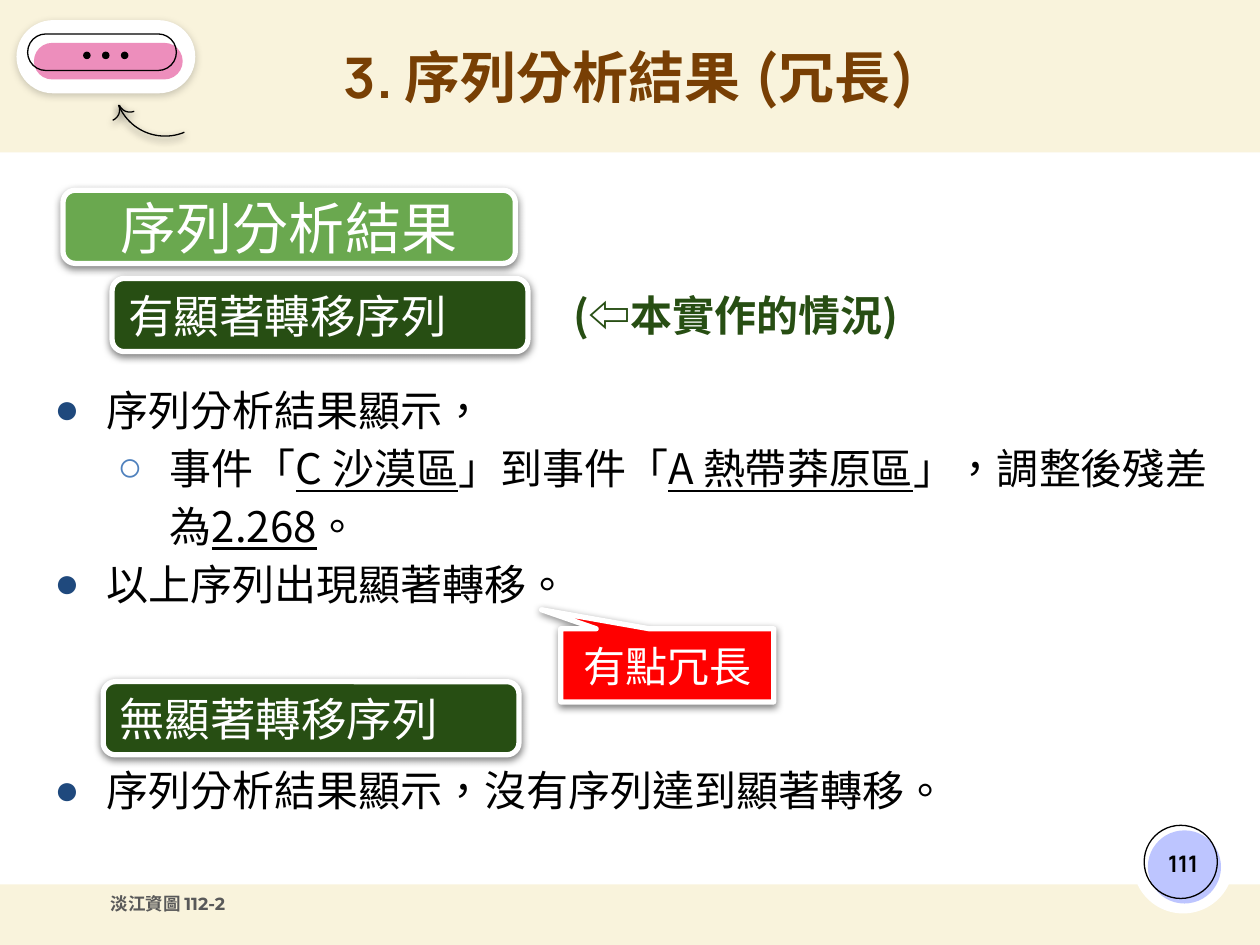
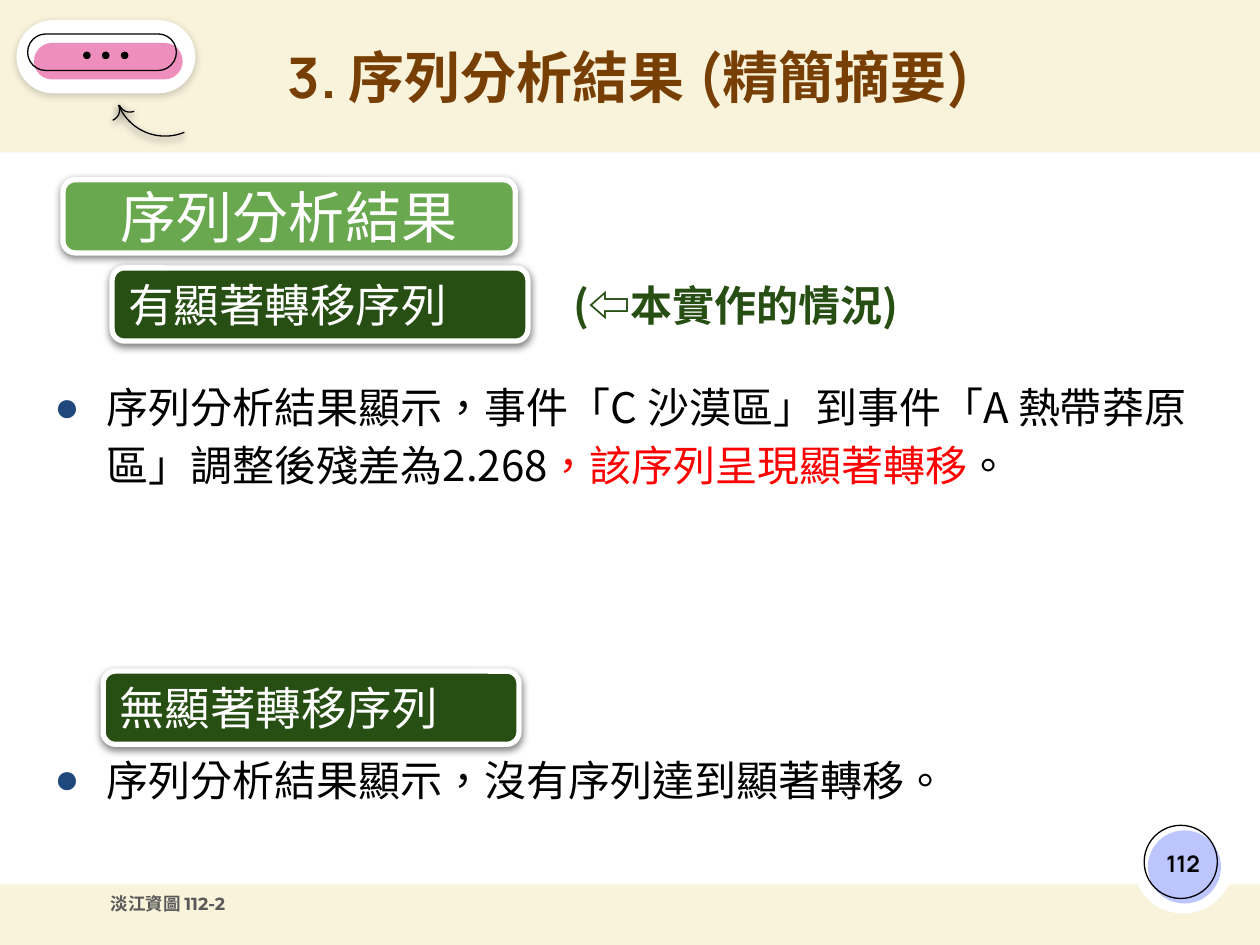
"""Build two slides on the results of a sequential analysis."""

from dataclasses import dataclass
from typing import Optional

from lxml.etree import SubElement
from pptx import Presentation
from pptx.dml.color import RGBColor
from pptx.enum.shapes import MSO_SHAPE as Kind
from pptx.enum.text import MSO_ANCHOR as Anchor, PP_ALIGN as Align
from pptx.oxml.ns import qn
from pptx.util import Pt

CREAM = RGBColor(0xF9, 0xF3, 0xDC)
WHITE = RGBColor(0xFF, 0xFF, 0xFF)
BLACK = RGBColor(0x00, 0x00, 0x00)
GREY = RGBColor(0x59, 0x59, 0x59)
BROWN = RGBColor(0x78, 0x3F, 0x04)
LILAC = RGBColor(0xBD, 0xC5, 0xFF)
PINK = RGBColor(0xED, 0x8E, 0xBC)
GREEN = RGBColor(0x6A, 0xA8, 0x4F)
DARK_GREEN = RGBColor(0x27, 0x4E, 0x13)
RED = RGBColor(0xFF, 0x00, 0x00)
NAVY = RGBColor(0x1F, 0x49, 0x7D)
BLUE = RGBColor(0x4F, 0x81, 0xBD)

CJK = "Noto Sans CJK TC"
HEADING = "Manrope"
INSET = 7.2
LABEL_HEIGHT = 41.8
BULLETS = (("●", NAVY, 36), ("○", BLUE, 72))


@dataclass(frozen=True)
class Frame:
    """Place and size in points."""

    left: float
    top: float
    width: float
    height: float

    def lifted(self, lift: float) -> "Frame":
        """Return the frame moved up."""
        return Frame(self.left, self.top - lift, self.width, self.height)


@dataclass(frozen=True)
class Look:
    """Outline and surface of a preset shape."""

    kind: Kind
    fill: Optional[RGBColor] = None
    line: Optional[RGBColor] = None
    weight: float = 0.75
    shadow: int = 0
    adjust: tuple[float, ...] = ()
    turn: float = 0
    flip: bool = False


@dataclass(frozen=True)
class Span:
    """A stretch of text with one format."""

    text: str
    color: RGBColor = BLACK
    underline: bool = False


@dataclass(frozen=True)
class Item:
    """A bulleted paragraph."""

    spans: tuple[Span, ...]
    level: int = 0


@dataclass(frozen=True)
class Label:
    """A filled box with a caption."""

    text: str
    frame: Frame
    look: Look
    size: float
    font: str = CJK
    align: Align = Align.LEFT


@dataclass(frozen=True)
class Content:
    """What differs from slide to slide."""

    title: str
    number: str
    body_top: float
    items: tuple[Item, ...]
    lift: float = 0
    extras: tuple[Label, ...] = ()


def raised(kind: Kind, fill: RGBColor, *adjust: float) -> Look:
    """Return a white-edged look with a soft shadow."""
    return Look(kind, fill, WHITE, 3, 50, adjust)


def arc(flip: bool = False) -> Look:
    """Return the look of one quarter-circle stroke of the curved arrow."""
    return Look(Kind.ARC, line=BLACK, shadow=68, adjust=(162, 0), turn=157.5, flip=flip)


def pill(**surface) -> Look:
    """Return a look with fully rounded ends."""
    return Look(Kind.ROUNDED_RECTANGLE, adjust=(0.5,), **surface)


ROUND = Kind.ROUNDED_RECTANGLE
DOT = Look(Kind.OVAL, BLACK)
DECOR = (
    (Frame(0, 87.1, 720, 418.3), Look(Kind.RECTANGLE, WHITE)),
    (Frame(647.3, 464.4, 57.6, 57.6), Look(Kind.OVAL, WHITE)),
    (Frame(655.9, 474.5, 41.8, 41.8), Look(Kind.OVAL, LILAC)),
    (Frame(653.8, 471.6, 41.8, 41.8), Look(Kind.OVAL, line=BLACK)),
    (Frame(65.5, 20.2, 57.6, 57.6), arc()),
    (Frame(67.7, 51.1, 13, 13), arc()),
    (Frame(55.4, 56.2, 13, 13), arc(flip=True)),
    (Frame(9.4, 11.5, 102.2, 41.8), pill(fill=WHITE, shadow=19)),
    (Frame(19.4, 24.5, 85, 20.9), pill(fill=PINK)),
    (Frame(15.8, 19.4, 85, 20.9), pill(line=BLACK)),
    *((Frame(47.5 + 10.8 * step, 29.5, 4.3, 4.3), DOT) for step in range(3)),
)

LABELS = (
    Label("序列分析結果", Frame(36, 108.7, 258.5, LABEL_HEIGHT),
          raised(ROUND, GREEN), 32, "Arial", Align.CENTER),
    Label("有顯著轉移序列", Frame(64.1, 159.1, 237.6, LABEL_HEIGHT),
          raised(ROUND, DARK_GREEN), 26),
    Label("無顯著轉移序列", Frame(59, 389.5, 237.6, LABEL_HEIGHT),
          raised(ROUND, DARK_GREEN), 26),
)
NOTE = Frame(320.4, 166.3, 229.7, 27.4)
NO_SHIFT_FRAME = Frame(18, 425.5, 683.3, 59.8)
NO_SHIFT = Item((Span("序列分析結果顯示，沒有序列達到顯著轉移。"),))

SLIDES = (
    Content(
        "3. 序列分析結果 (冗長)", "111", 208.1,
        (
            Item((Span("序列分析結果顯示，"),)),
            Item((
                Span("事件「"),
                Span("C 沙漠區", underline=True),
                Span("」到事件「"),
                Span("A 熱帶莽原區", underline=True),
                Span("」，調整後殘差為"),
                Span("2.268", underline=True),
                Span("。"),
            ), level=1),
            Item((Span("以上序列出現顯著轉移。"),)),
        ),
        extras=(
            Label("有點冗長", Frame(320.4, 359.3, 121.7, LABEL_HEIGHT),
                  raised(Kind.ROUNDED_RECTANGULAR_CALLOUT, RED, -0.59, -0.76, 0),
                  24, "Arial", Align.CENTER),
        ),
    ),
    Content(
        "3. 序列分析結果 (精簡摘要)", "112", 206.6,
        (
            Item((
                Span("序列分析結果顯示，事件「C 沙漠區」到事件「A 熱帶莽原區」調整後殘差為2.268"),
                Span("，該序列呈現顯著轉移", RED),
                Span("。"),
            )),
        ),
        lift=6,
    ),
)


def place(frame: Frame) -> tuple[Pt, Pt, Pt, Pt]:
    """Return a frame as lengths."""
    return Pt(frame.left), Pt(frame.top), Pt(frame.width), Pt(frame.height)


def add_shadow(shape, percent: int) -> None:
    """Give a shape a soft shadow below it."""
    effects = shape._element.spPr.find(qn("a:effectLst"))
    outer = SubElement(effects, qn("a:outerShdw"), blurRad=str(Pt(4.5)),
                       dist=str(Pt(1.5)), dir="5400000", algn="bl", rotWithShape="0")
    tone = SubElement(outer, qn("a:srgbClr"), val=str(BLACK))
    SubElement(tone, qn("a:alpha"), val=str(percent * 1000))


def draw_shape(page, frame: Frame, look: Look):
    """Draw a preset shape."""
    shape = page.shapes.add_shape(look.kind, *place(frame))
    for index, value in enumerate(look.adjust):
        shape.adjustments[index] = value
    shape.rotation = look.turn
    if look.flip:
        shape._element.spPr.find(qn("a:xfrm")).set("flipH", "1")
    if look.fill is None:
        shape.fill.background()
    else:
        shape.fill.solid()
        shape.fill.fore_color.rgb = look.fill
    if look.line is None:
        shape.line.fill.background()
    else:
        shape.line.color.rgb = look.line
        shape.line.width = Pt(look.weight)
    shape.shadow.inherit = False
    if look.shadow:
        add_shadow(shape, look.shadow)
    return shape


def add_span(para, text: str, *, size: float, color: RGBColor, font: str = CJK,
             bold: bool = False, underline: bool = False) -> None:
    """Add formatted Traditional Chinese text to a paragraph."""
    span = para.add_run()
    span.text = text
    span.font.name, span.font.size = font, Pt(size)
    span.font.bold, span.font.underline = bold, underline
    span.font.color.rgb = color
    props = span.font._element
    props.set("lang", "zh-TW")
    east = SubElement(props, qn("a:ea"), typeface=CJK)
    props.find(qn("a:latin")).addnext(east)


def prepare(box, anchor: Anchor, top_inset: float = INSET):
    """Set the margins of a box and return its text frame."""
    area = box.text_frame
    area.word_wrap, area.vertical_anchor = True, anchor
    area.margin_left = area.margin_right = area.margin_bottom = Pt(INSET)
    area.margin_top = Pt(top_inset)
    return area


def write(box, text: str, *, align: Align = Align.LEFT, anchor: Anchor = Anchor.MIDDLE,
          top_inset: float = INSET, **style) -> None:
    """Write one paragraph into a box."""
    para = prepare(box, anchor, top_inset).paragraphs[0]
    para.alignment = align
    add_span(para, text, **style)


def add_text(page, frame: Frame, text: str, **style) -> None:
    """Add a text box with one paragraph."""
    write(page.shapes.add_textbox(*place(frame)), text, **style)


def add_label(page, label: Label, lift: float) -> None:
    """Add a filled box with its caption."""
    box = draw_shape(page, label.frame.lifted(lift), label.look)
    write(box, label.text, size=label.size, color=WHITE, font=label.font, align=label.align)


def add_list(page, frame: Frame, items: tuple[Item, ...]) -> None:
    """Add a bulleted list."""
    area = prepare(page.shapes.add_textbox(*place(frame)), Anchor.TOP)
    for index, item in enumerate(items):
        para = area.add_paragraph() if index else area.paragraphs[0]
        mark, color, margin = BULLETS[item.level]
        para.level, para.line_spacing = item.level, 1.15
        props = para._p.get_or_add_pPr()
        props.set("marL", str(Pt(margin)))
        props.set("indent", str(Pt(-30)))
        SubElement(SubElement(props, qn("a:buClr")), qn("a:srgbClr"), val=str(color))
        SubElement(props, qn("a:buFont"), typeface="Arial")
        SubElement(props, qn("a:buChar"), char=mark)
        for span in item.spans:
            add_span(para, span.text, size=24, color=span.color, underline=span.underline)


def add_page(deck, content: Content) -> None:
    """Add one slide."""
    page = deck.slides.add_slide(deck.slide_layouts[6])
    page.background.fill.solid()
    page.background.fill.fore_color.rgb = CREAM
    add_text(page, Frame(56.2, 504, 310.3, 26.6), "淡江資圖 112-2", size=10,
             color=GREY, font="Montserrat", bold=True, anchor=Anchor.TOP)
    for frame, look in DECOR:
        draw_shape(page, frame, look)
    add_text(page, Frame(111.6, 11.5, 496.8, 70.6), content.title, size=32, color=BROWN,
             font=HEADING, bold=True, align=Align.CENTER, top_inset=0)
    add_text(page, Frame(654.5, 473, 43.2, 41), content.number, size=13, color=BLACK,
             font=HEADING, bold=True, align=Align.CENTER)
    add_list(page, Frame(18, content.body_top, 683.3, 101.5), content.items)
    add_list(page, NO_SHIFT_FRAME.lifted(content.lift), (NO_SHIFT,))
    for label in LABELS + content.extras:
        add_label(page, label, content.lift)
    add_text(page, NOTE.lifted(content.lift), "(⇦本實作的情況)", size=24,
             color=DARK_GREEN, bold=True)


def main() -> None:
    """Build and save the deck."""
    deck = Presentation()
    deck.slide_width, deck.slide_height = Pt(720), Pt(540)
    for content in SLIDES:
        add_page(deck, content)
    deck.save("out.pptx")


if __name__ == "__main__":
    main()
